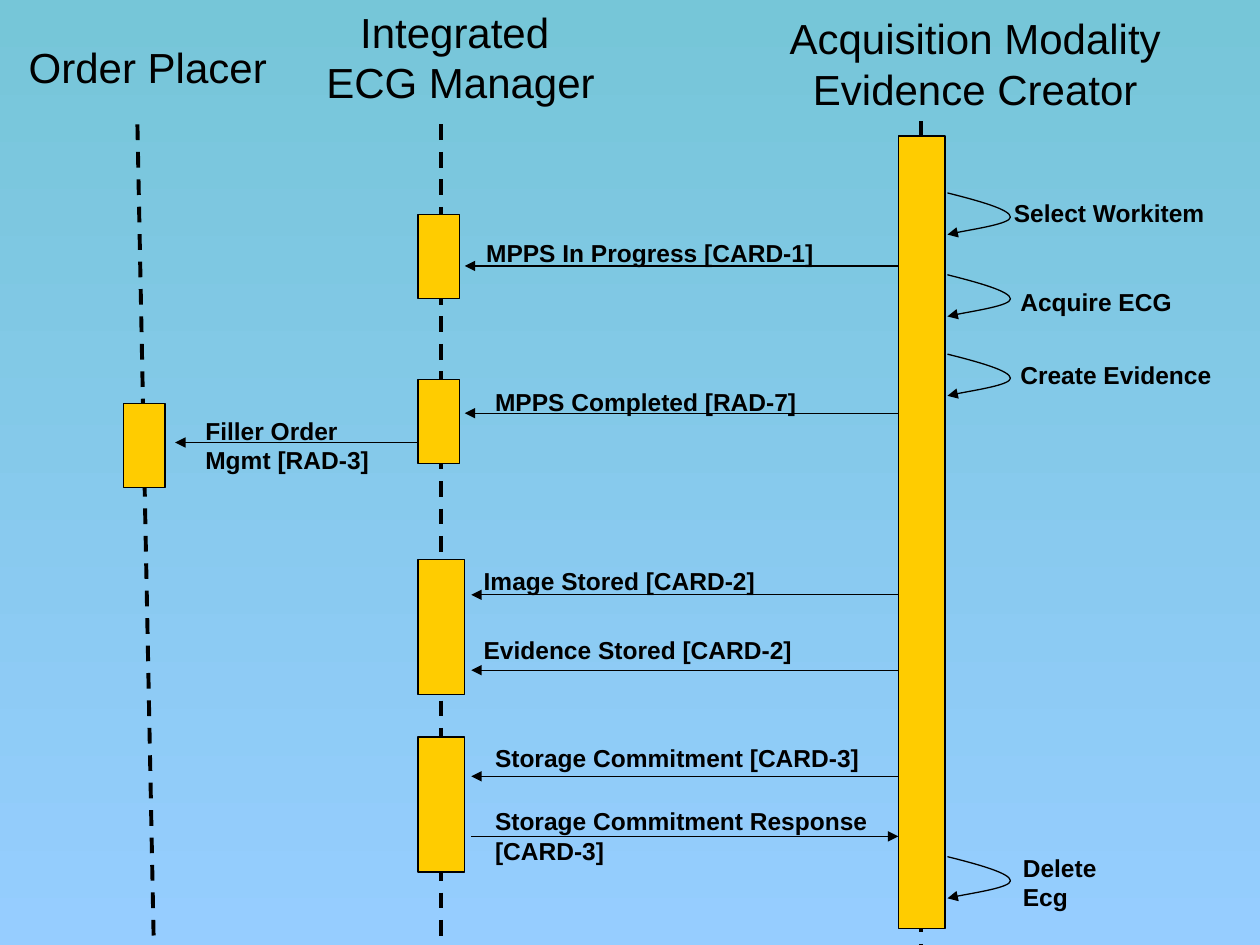
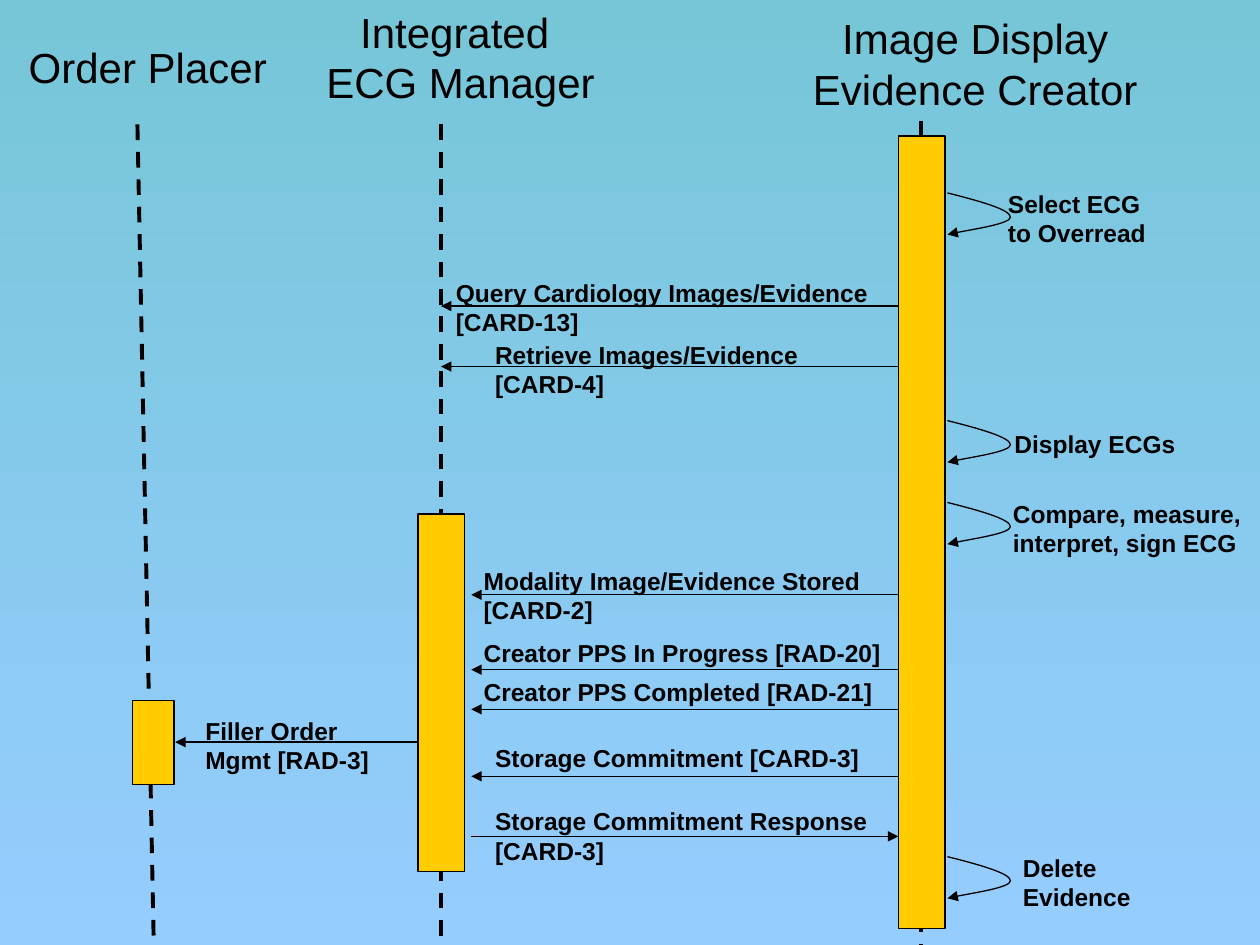
from dataclasses import dataclass
from typing import NamedTuple

from lxml import etree
from pptx import Presentation
from pptx.dml.color import RGBColor
from pptx.enum import dml, shapes, text
from pptx.oxml import ns
from pptx.util import Cm, Pt


@dataclass(frozen=True)
class Theme:
    font: str = "Arial"
    ink: RGBColor = RGBColor(0x00, 0x00, 0x00)
    bar: RGBColor = RGBColor(0xFF, 0xCC, 0x00)
    sky: tuple = (RGBColor(0x76, 0xC6, 0xD8), RGBColor(0x96, 0xCD, 0xFF))
    header: int = 24
    label: int = 14
    thin: float = 0.75
    thick: float = 2.25


class Box(NamedTuple):
    """An area in centimetres."""
    x: float
    y: float
    w: float
    h: float

    def sub(self, x, y, w, h):
        return Box(self.x + x, self.y + y, w, h)

    def emu(self):
        return [Cm(v) for v in self]


T = Theme()
PAGE = Box(0, 0, 25.4, 19.05)

# Horizontal stops of messages, left to right
PLACER, MANAGER_LEFT, MANAGER_AXIS = 3.53, 8.43, 8.89
MANAGER_NARROW, MANAGER_WIDE, CREATOR = 9.37, 9.5, 18.11
NARROW, WIDE = 0.84, 0.94  # bar widths
SHORT, MEDIUM = 1.7, 2.72  # bar heights

# Control points of the self-call loop, as shares of its box
LOOP = [(0.5, 0.19), (1, 0.4), (1, 0.58), (1, 0.74), (0.17, 0.93), (0, 1)]


def add_text(s, box, content, size=T.label, bold=True, align=None):
    tf = s.shapes.add_textbox(*box.emu()).text_frame
    tf.word_wrap = True
    tf.auto_size = text.MSO_AUTO_SIZE.SHAPE_TO_FIT_TEXT
    for i, line in enumerate(content.split("\n")):
        p = tf.paragraphs[0] if i == 0 else tf.add_paragraph()
        p.alignment = align
        r = p.add_run()
        r.text = line
        f = r.font
        f.name, f.size, f.bold = T.font, Pt(size), bold
        f.color.rgb = T.ink


def add_label(s, area, content, x, y, w):
    h = 0.27 + 0.59 * (content.count("\n") + 1)
    add_text(s, area.sub(x, y, w, h), content)


def style_line(sp, width, dash=None, arrow=False):
    sp.line.color.rgb = T.ink
    sp.line.width = Pt(width)
    if dash:
        sp.line.dash_style = dash
    if arrow:
        ln = sp.line._get_or_add_ln()
        etree.SubElement(ln, ns.qn("a:tailEnd"), type="triangle")


def add_line(s, area, x1, y1, x2, y2, width, **style):
    ends = (area.x + x1, area.y + y1, area.x + x2, area.y + y2)
    c = s.shapes.add_connector(shapes.MSO_CONNECTOR.STRAIGHT, *map(Cm, ends))
    style_line(c, width, **style)
    etree.SubElement(c._element.spPr, ns.qn("a:effectLst"))


def add_bar(s, area, x, y, w, h):
    sp = s.shapes.add_shape(shapes.MSO_SHAPE.RECTANGLE, *area.sub(x, y, w, h).emu())
    sp.shadow.inherit = False
    sp.fill.solid()
    sp.fill.fore_color.rgb = T.bar
    style_line(sp, T.thin)


def add_loop(s, box):
    """Draw a curved arrow that leaves and re-enters a bar."""
    points = [(Cm(box.x + fx * box.w), Cm(box.y + fy * box.h)) for fx, fy in LOOP]
    fb = s.shapes.build_freeform(Cm(box.x), Cm(box.y))
    sp = fb.add_line_segments(points, close=False).convert_to_shape()
    # Turn each three straight segments into one Bézier segment
    path = sp._element.find(".//" + ns.qn("a:path"))
    segments = path.findall(ns.qn("a:lnTo"))
    for i in range(0, len(segments), 3):
        curve = etree.SubElement(path, ns.qn("a:cubicBezTo"))
        for seg in segments[i:i + 3]:
            curve.append(seg[0])
            path.remove(seg)
    sp.shadow.inherit = False
    sp.fill.background()
    style_line(sp, T.thin, arrow=True)


def paint_background(s):
    fill = s.background.fill
    fill.gradient()
    fill.gradient_angle = 270
    for stop, color in zip(fill.gradient_stops, T.sky):
        stop.color.rgb = color


def lifelines(s, area):
    for x1, y1, x2 in ((2.77, 2.51, 3.1), (8.89, 2.51, 8.89), (18.57, 2.44, 18.57)):
        add_line(s, area, x1, y1, x2, area.h, T.thick, dash=dml.MSO_LINE.DASH)


def headers(s, area, creator):
    center = text.PP_ALIGN.CENTER
    for content, box, align in (
        ("Order Placer", (0.33, 0.72, 5.6, 1.27), None),
        ("Integrated \nECG Manager", (4.7, 0, 9.17, 2.29), center),
        (creator, (15.16, 0.13, 9, 2.29), center),
    ):
        add_text(s, area.sub(*box), content, T.header, False, align)


def sequence_slide(prs, area, creator, bars, self_calls, messages):
    s = prs.slides.add_slide(prs.slide_layouts[6])
    paint_background(s)
    lifelines(s, area)
    headers(s, area, creator)
    # Activation bars, the creator's being the same on each slide
    for bar in bars + [(CREATOR, 2.74, WIDE, 15.98)]:
        add_bar(s, area, *bar)
    # Steps the creator performs itself
    for loop_y, *label in self_calls:
        add_loop(s, area.sub(19.1, loop_y, 1.27, 0.84))
        add_label(s, area, *label)
    # Messages from sender to receiver
    for sender, receiver, y, *label in messages:
        add_label(s, area, *label)
        add_line(s, area, sender, y, receiver, y, T.thin, arrow=True)


def filler_order(y):
    return (MANAGER_LEFT, PLACER, y, "Filler Order\nMgmt [RAD-3]", 3.89, y - 0.66, 4.01)


def delete_step(item):
    return (17.27, f"Delete\n{item}", 20.37, 17.07, 3.15)


def main():
    prs = Presentation()
    prs.slide_width, prs.slide_height = Cm(PAGE.w), Cm(PAGE.h)

    storage_commitment = [
        (CREATOR, MANAGER_WIDE, 15.65, "Storage Commitment [CARD-3]", 9.73, 14.86, 8.18),
        (MANAGER_WIDE, CREATOR, 16.86, "Storage Commitment Response\n[CARD-3]",
         9.73, 16.13, 12.09),
    ]

    # Acquisition
    sequence_slide(
        prs, PAGE, "Acquisition Modality\nEvidence Creator",
        bars=[
            (2.49, 8.13, NARROW, SHORT),
            (MANAGER_LEFT, 4.32, NARROW, SHORT),
            (MANAGER_LEFT, 7.65, NARROW, SHORT),
            (MANAGER_LEFT, 11.28, WIDE, MEDIUM),
            (MANAGER_LEFT, 14.86, WIDE, MEDIUM),
        ],
        self_calls=[
            (3.89, "Select Workitem", 20.19, 3.86, 5.2),
            (5.54, "Acquire ECG", 20.32, 5.67, 4),
            (7.14, "Create Evidence", 20.32, 7.14, 5.08),
            delete_step("Ecg"),
        ],
        messages=[
            (CREATOR, MANAGER_NARROW, 5.36, "MPPS In Progress [CARD-1]", 9.55, 4.67, 8.94),
            (CREATOR, MANAGER_NARROW, 8.33, "MPPS Completed [RAD-7]", 9.73, 7.67, 7.19),
            (CREATOR, MANAGER_WIDE, 11.99, "Image Stored [CARD-2]", 9.5, 11.28, 10.97),
            (CREATOR, MANAGER_WIDE, 13.51, "Evidence Stored [CARD-2]", 9.5, 12.67, 12.7),
            filler_order(8.92),
        ] + storage_commitment,
    )

    # Review
    sequence_slide(
        prs, PAGE, "Image Display\nEvidence Creator",
        bars=[
            (2.67, 14.12, NARROW, SHORT),
            (MANAGER_LEFT, 10.36, WIDE, 7.21),
        ],
        self_calls=[
            (3.89, "Select ECG\nto Overread", 20.07, 3.68, 5.31),
            (8.48, "Display ECGs", 20.2, 8.53, 4),
            (10.13, "Compare, measure,\ninterpret, sign ECG", 20.17, 9.93, 5.23),
            delete_step("Evidence"),
        ],
        messages=[
            (CREATOR, MANAGER_AXIS, 6.17, "Query Cardiology Images/Evidence\n[CARD-13]",
             8.94, 5.47, 8.94),
            (CREATOR, MANAGER_AXIS, 7.39, "Retrieve Images/Evidence\n[CARD-4]",
             9.73, 6.73, 7.19),
            (CREATOR, MANAGER_WIDE, 11.99, "Modality Image/Evidence Stored\n[CARD-2]",
             9.5, 11.28, 10.97),
            (CREATOR, MANAGER_WIDE, 13.5, "Creator PPS In Progress [RAD-20]",
             9.5, 12.73, 12.7),
            (CREATOR, MANAGER_WIDE, 14.3, "Creator PPS Completed [RAD-21]",
             9.5, 13.52, 12.22),
            filler_order(14.96),
        ] + storage_commitment,
    )

    prs.save("out.pptx")


if __name__ == "__main__":
    main()
